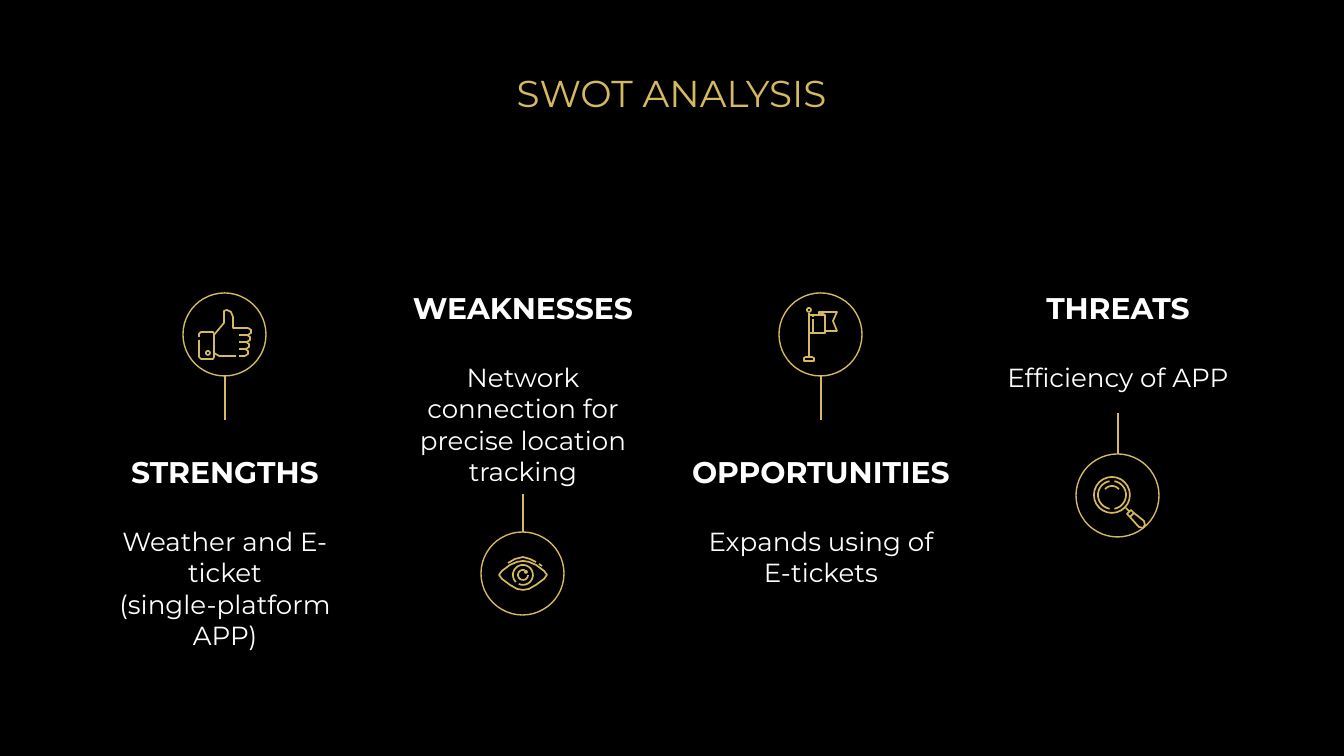
"""Build a SWOT analysis slide with four icon columns on black."""
import math
from lxml import etree
from pptx import Presentation
from pptx import util as u
from pptx.dml.color import RGBColor
from pptx.enum import shapes, text
from pptx.oxml.ns import qn

PX = u.Inches(10) / 1344
COLORS = {"back": "000000", "gold": "D5B961", "white": "FFFFFF"}
FONT = "Montserrat"

deck = Presentation()
deck.slide_width, deck.slide_height = round(1344 * PX), round(756 * PX)
page = deck.slides.add_slide(deck.slide_layouts[6])
page.background.fill.solid()
page.background.fill.fore_color.rgb = RGBColor.from_string(COLORS["back"])


def write(left, top, width, height, lines, size, color, bold, anchor):
    box = page.shapes.add_textbox(*(round(n * PX) for n in (left, top, width, height)))
    frame = box.text_frame
    frame.word_wrap = True
    frame.vertical_anchor = anchor
    frame.margin_left = frame.margin_right = u.Inches(0.1)
    frame.margin_top = frame.margin_bottom = u.Inches(0.1)
    frame.text = "\n".join(lines)
    for para in frame.paragraphs:
        para.alignment = text.PP_ALIGN.CENTER
        para.font.name = FONT
        para.font.size = u.Pt(size)
        para.font.bold = bold
        para.font.color.rgb = RGBColor.from_string(COLORS[color])


def arc(x, y, radius, start=0, end=360):
    angles = [math.radians(start + (end - start) * step / 24) for step in range(25)]
    points = [(x + radius * math.cos(a), y + radius * math.sin(a)) for a in angles]
    return points, end - start == 360


write(465, 53, 413, 75, ["SWOT ANALYSIS"], 20, "gold", False, text.MSO_ANCHOR.BOTTOM)

columns = [
    (225, "STRENGTHS", ["Weather and E-ticket", "(single-platform APP)"],
     420, 293, 376, 420),
    (523, "WEAKNESSES", ["Network connection for precise location tracking"],
     256, 532, 494, 532),
    (821, "OPPORTUNITIES", ["Expands using of E-tickets"], 420, 293, 376, 420),
    (1118, "THREATS", ["Efficiency of APP"], 256, 454, 413, 454),
]
outlined = []
for center, heading, body, top, ring_top, stem_top, stem_end in columns:
    write(center - 146, top, 292, 83, [heading], 16, "white", True, text.MSO_ANCHOR.BOTTOM)
    write(center - 134, top + 92, 268, 136, body, 14, "white", False, text.MSO_ANCHOR.TOP)
    ring = page.shapes.add_shape(
        shapes.MSO_SHAPE.OVAL,
        *(round(n * PX) for n in (center - 42, ring_top, 83, 83)))
    outlined.append((ring, 0.75))
    stem = page.shapes.add_connector(
        shapes.MSO_CONNECTOR.STRAIGHT,
        *(round(n * PX) for n in (center, stem_top, center, stem_end)))
    stem.line.width = u.Pt(0.75)
    stem.line.color.rgb = RGBColor.from_string(COLORS["gold"])
    etree.SubElement(stem._element.spPr, qn("a:effectLst"))

hand = [
    ([(199, 337), (199, 334), (201, 332), (213, 332), (214, 334), (214, 357),
      (213, 359), (201, 359), (199, 357), (199, 340)], False),
    ([(214, 335), (224, 323), (224, 311), (227, 310), (231, 312), (233, 317),
      (233, 328), (248, 328)], False),
    ([(236, 356), (219, 356), (214, 353)], False),
]
for finger in range(4):
    tip, top = 251 - finger, 328 + 7 * finger
    hand.append(([(tip - 3, top), (tip, top + 2), (tip, top + 5),
                  (tip - 3, top + 7), (239, top + 7)], False))
eyelid = ([(499, 575), (502, 571), (510, 565), (517, 562), (523, 561), (529, 562),
           (536, 565), (544, 571), (547, 575), (544, 579), (536, 585), (529, 589),
           (523, 590), (517, 589), (510, 585), (502, 579)], True)
brow = ([(508, 563), (515, 559), (523, 557), (530, 559), (536, 562)], False)
brow_end = ([(539, 564), (542, 566)], False)
flag = [
    arc(809, 310, 2),
    ([(809, 313), (809, 357)], False),
    ([(804, 361), (804, 358), (806, 357), (812, 357), (814, 358), (814, 361)], True),
    ([(809, 315), (825, 315), (825, 333), (809, 333)], False),
    ([(813, 315), (813, 317)], False),
    ([(813, 319), (813, 333)], False),
    ([(825, 315), (819, 312), (837, 312), (833, 321), (837, 331), (825, 331)], False),
    ([(819, 312), (819, 315)], False),
]
magnifier = [
    arc(1112, 495, 18),
    ([(1126, 508), (1129, 511)], False),
    ([(1127, 514), (1131, 510), (1134, 513), (1144, 521), (1145, 525),
      (1143, 528), (1139, 527), (1130, 517)], True),
    ([(1130, 517), (1134, 513)], False),
]
icon_parts = [
    hand, [arc(208, 353, 2)],
    [brow_end], [brow], [eyelid], [arc(523, 575, 10, 135, 475)],
    [arc(523, 575, 5, 0, 290)], [arc(526, 572, 1)],
    [arc(1112, 495, 9, 220, 320)], magnifier,
    [arc(1112, 495, 14, -80, 80)], [arc(1112, 495, 14, 100, 260)],
    flag,
]
for strokes in icon_parts:
    builder = None
    for points, closed in strokes:
        first, *rest = [(round(x * PX), round(y * PX)) for x, y in points]
        if builder is None:
            builder = page.shapes.build_freeform(*first)
        else:
            builder.move_to(*first)
        builder.add_line_segments(rest, close=closed)
    outlined.append((builder.convert_to_shape(), 0.9))

for shape, weight in outlined:
    shape.shadow.inherit = False
    shape.fill.background()
    shape.line.width = u.Pt(weight)
    shape.line.color.rgb = RGBColor.from_string(COLORS["gold"])

deck.save("out.pptx")
